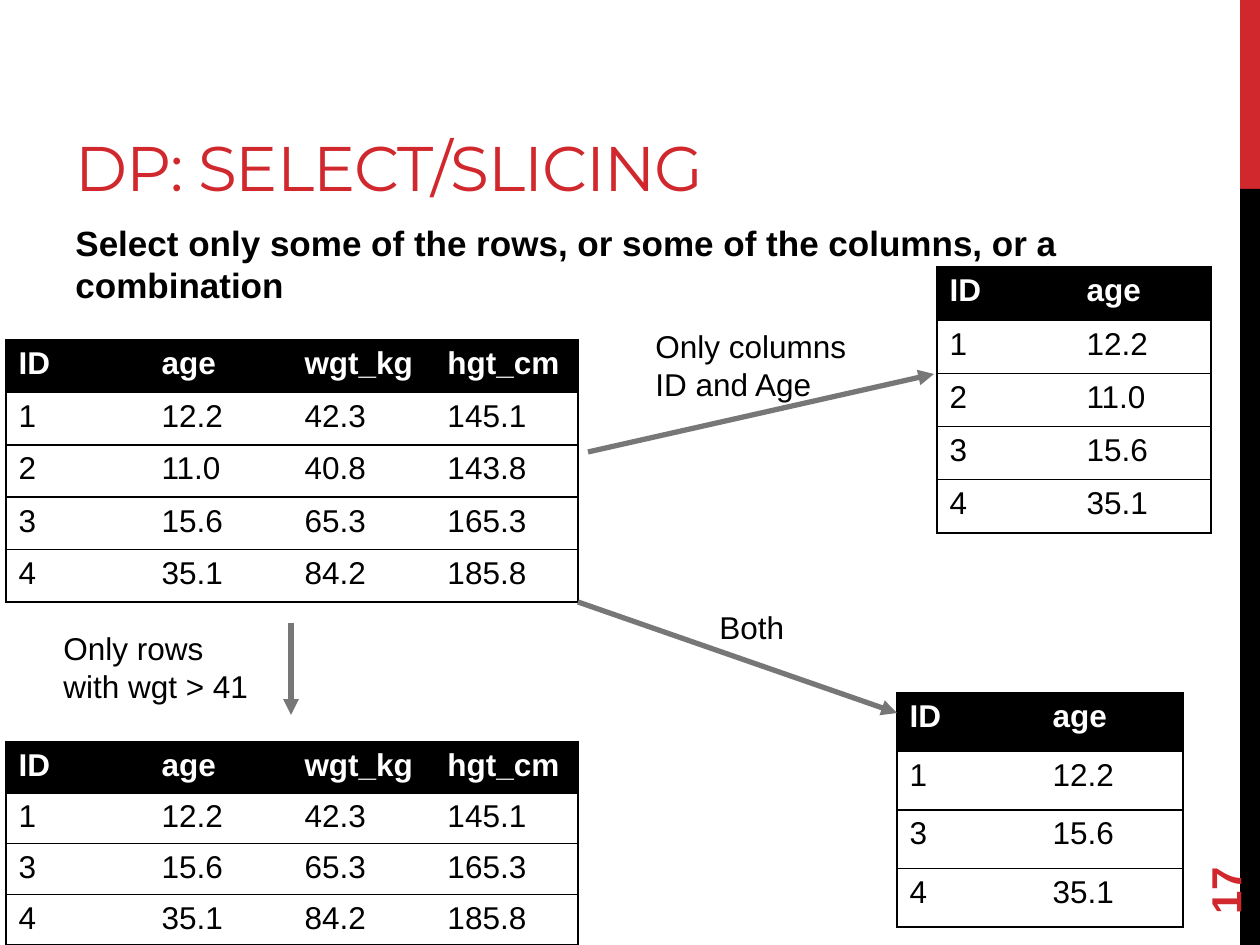
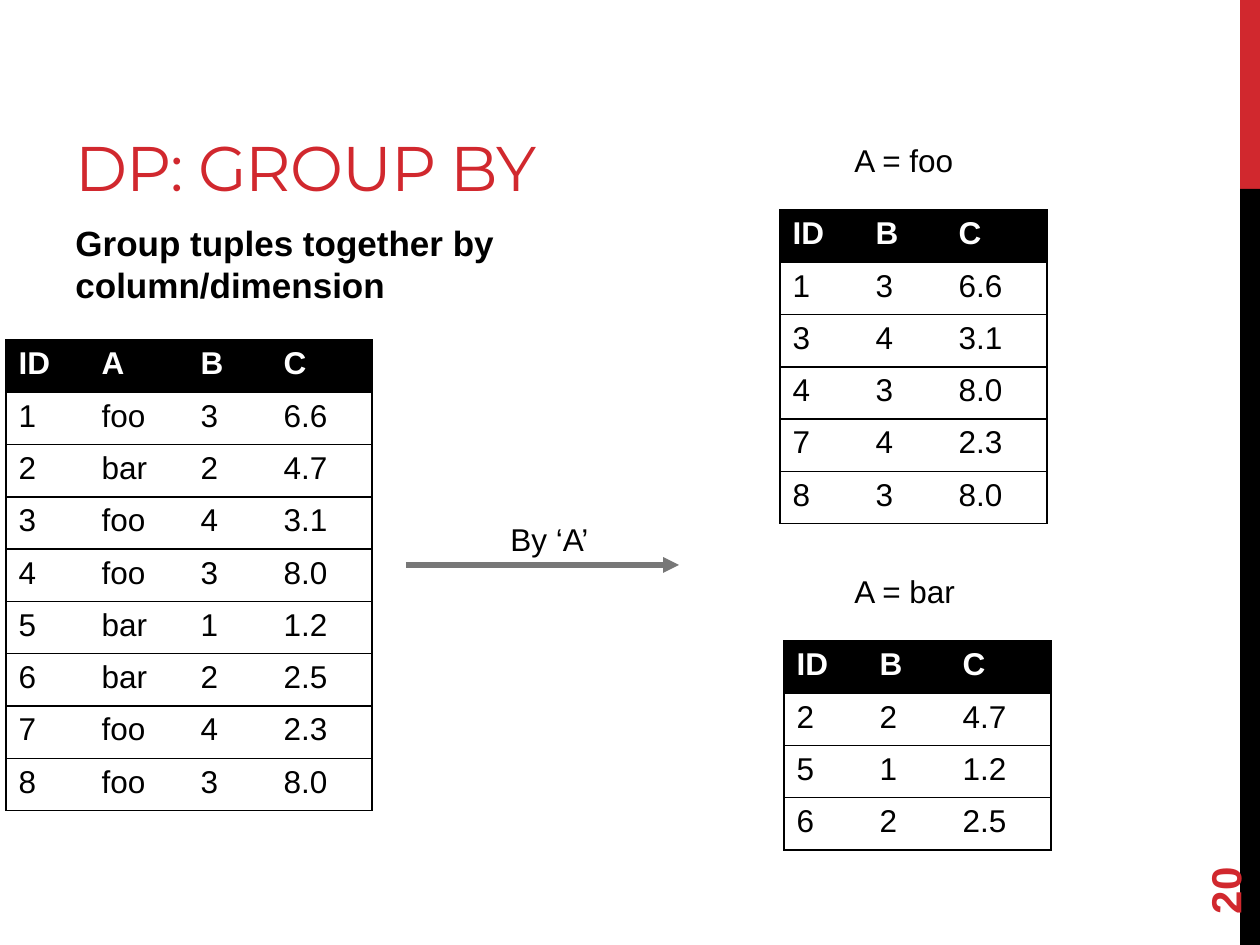
from lxml import etree
from pptx import Presentation
from pptx.dml.color import RGBColor
from pptx.enum.shapes import MSO_CONNECTOR, MSO_SHAPE
from pptx.enum.text import MSO_ANCHOR
from pptx.oxml.ns import qn
from pptx.util import Pt

PX = 914400 / 126
WIDTH, HEIGHT = 1260, 945
RECTANGLE = MSO_SHAPE.RECTANGLE
STRAIGHT = MSO_CONNECTOR.STRAIGHT
TOP, MIDDLE, BOTTOM = MSO_ANCHOR.TOP, MSO_ANCHOR.MIDDLE, MSO_ANCHOR.BOTTOM

RED = RGBColor(0xD1, 0x28, 0x2E)
BLACK = RGBColor(0, 0, 0)
WHITE = RGBColor(0xFF, 0xFF, 0xFF)
GREY = RGBColor(0x77, 0x77, 0x77)
TITLE_FONT, TEXT_FONT = "Montserrat", "Arial"

MEASUREMENTS = [
    ("ID", "age", "wgt_kg", "hgt_cm"),
    ("1", "12.2", "42.3", "145.1"),
    ("2", "11.0", "40.8", "143.8"),
    ("3", "15.6", "65.3", "165.3"),
    ("4", "35.1", "84.2", "185.8"),
]
TUPLES = [
    ("ID", "A", "B", "C"),
    ("1", "foo", "3", "6.6"),
    ("2", "bar", "2", "4.7"),
    ("3", "foo", "4", "3.1"),
    ("4", "foo", "3", "8.0"),
    ("5", "bar", "1", "1.2"),
    ("6", "bar", "2", "2.5"),
    ("7", "foo", "4", "2.3"),
    ("8", "foo", "3", "8.0"),
]


def emu(*lengths):
    return [round(length * PX) for length in lengths]


def select_rows(rows, keep):
    return rows[:1] + [row for row in rows[1:] if keep(row)]


def select_columns(rows, *names):
    positions = [rows[0].index(name) for name in names]
    return [[row[position] for position in positions] for row in rows]


class Deck:
    def __init__(self):
        self.presentation = Presentation()
        self.presentation.slide_width, self.presentation.slide_height = emu(WIDTH, HEIGHT)
        self.slide = None

    def start_slide(self, title, title_width, summary, summary_width, number):
        layout = self.presentation.slide_layouts[6]
        self.slide = self.presentation.slides.add_slide(layout)
        self.band(0, 189, RED)
        self.band(189, HEIGHT - 189, BLACK)
        heading = self.text(title, 63, 21, title_width, 189, size=36, color=RED,
                            font=TITLE_FONT, anchor=BOTTOM, wrap=True)
        letters = heading.text_frame.paragraphs[0]._p.pPr.find(qn("a:defRPr"))
        letters.set("spc", "-60")
        self.text(summary, 63, 215, summary_width, 103, size=20, bold=True, wrap=True)
        page = self.text(number, 1134, 811, 181, 50, size=24, color=RED, bold=True,
                         anchor=MIDDLE, wrap=True)
        page.rotation = 270

    def band(self, top, height, color):
        stripe = self.slide.shapes.add_shape(RECTANGLE, *emu(1240, top, 20, height))
        stripe.shadow.inherit = False
        stripe.fill.solid()
        stripe.fill.fore_color.rgb = color
        stripe.line.fill.background()

    def style(self, frame, size, color, bold, font=TEXT_FONT):
        for paragraph in frame.paragraphs:
            paragraph.font.size = Pt(size)
            paragraph.font.name = font
            paragraph.font.bold = bold
            paragraph.font.color.rgb = color

    def text(self, content, left, top, width, height, size=18, color=BLACK,
             bold=False, font=TEXT_FONT, anchor=TOP, wrap=False):
        box = self.slide.shapes.add_textbox(*emu(left, top, width, height))
        frame = box.text_frame
        frame.word_wrap = wrap
        frame.vertical_anchor = anchor
        frame.text = content
        self.style(frame, size, color, bold, font)
        return box

    def border(self, cell, side, visible):
        edge = etree.SubElement(cell._tc.get_or_add_tcPr(), qn(f"a:ln{side}"), w="12700")
        if visible:
            fill = etree.SubElement(edge, qn("a:solidFill"))
            etree.SubElement(fill, qn("a:srgbClr"), val=str(BLACK))
        else:
            etree.SubElement(edge, qn("a:noFill"))

    def table(self, left, top, widths, height, rows):
        frame = self.slide.shapes.add_table(
            len(rows), len(widths), *emu(left, top, sum(widths), height))
        grid = frame.table
        grid.horz_banding = False
        for column, width in zip(grid.columns, emu(*widths)):
            column.width = width
        last = len(widths) - 1
        for r, row in enumerate(rows):
            grid.rows[r].height = emu(height / len(rows))[0]
            header = r == 0
            for c, value in enumerate(row):
                cell = grid.cell(r, c)
                cell.text = value
                self.style(cell.text_frame, 18, WHITE if header else BLACK, header)
                for side, visible in (("L", c == 0), ("R", c == last),
                                      ("T", True), ("B", True)):
                    self.border(cell, side, visible)
                cell.fill.solid()
                cell.fill.fore_color.rgb = BLACK if header else WHITE

    def arrow(self, *ends):
        arrow = self.slide.shapes.add_connector(STRAIGHT, *emu(*ends))
        arrow.line.color.rgb = GREY
        arrow.line.width = Pt(3)
        etree.SubElement(arrow.line._get_or_add_ln(), qn("a:tailEnd"), type="triangle")
        etree.SubElement(arrow._element.spPr, qn("a:effectLst"))


def build_select(deck):
    deck.start_slide(
        "DP: SELECT/SLICING", 798,
        "Select only some of the rows, or some of the columns, or a combination",
        1050, "17")
    heavy = select_rows(MEASUREMENTS, lambda row: float(row[2]) > 41)
    deck.table(6, 340, [143] * 4, 262, MEASUREMENTS)
    deck.table(937, 267, [137] * 2, 266, select_columns(MEASUREMENTS, "ID", "age"))
    deck.table(6, 742, [143] * 4, 203, heavy)
    deck.table(897, 693, [143] * 2, 234, select_columns(heavy, "ID", "age"))
    deck.text("Only columns\nID and Age", 643, 321, 218, 89)
    deck.text("Only rows with wgt > 41", 51, 623, 223, 89, wrap=True)
    deck.text("Both", 707, 602, 91, 50)
    deck.arrow(291, 623, 291, 715)
    deck.arrow(578, 602, 897, 713)
    deck.arrow(588, 452, 934, 374)


def build_group_by(deck):
    deck.start_slide("DP: GROUP BY", 897, "Group tuples together by column/dimension",
                     713, "20")
    deck.table(6, 340, [83, 99, 83, 101], 471, TUPLES)
    for group, label_top, left, top, height in (("foo", 135, 780, 210, 314),
                                                ("bar", 566, 784, 641, 209)):
        members = select_rows(TUPLES, lambda row: row[1] == group)
        deck.table(left, top, [83, 83, 101], height,
                   select_columns(members, "ID", "B", "C"))
        deck.text(f"A = {group}", 842, label_top, 126, 50)
    deck.text("By ‘A’", 498, 514, 155, 50, wrap=True)
    deck.arrow(406, 565, 679, 565)


def main():
    deck = Deck()
    build_select(deck)
    build_group_by(deck)
    deck.presentation.save("out.pptx")


if __name__ == "__main__":
    main()
